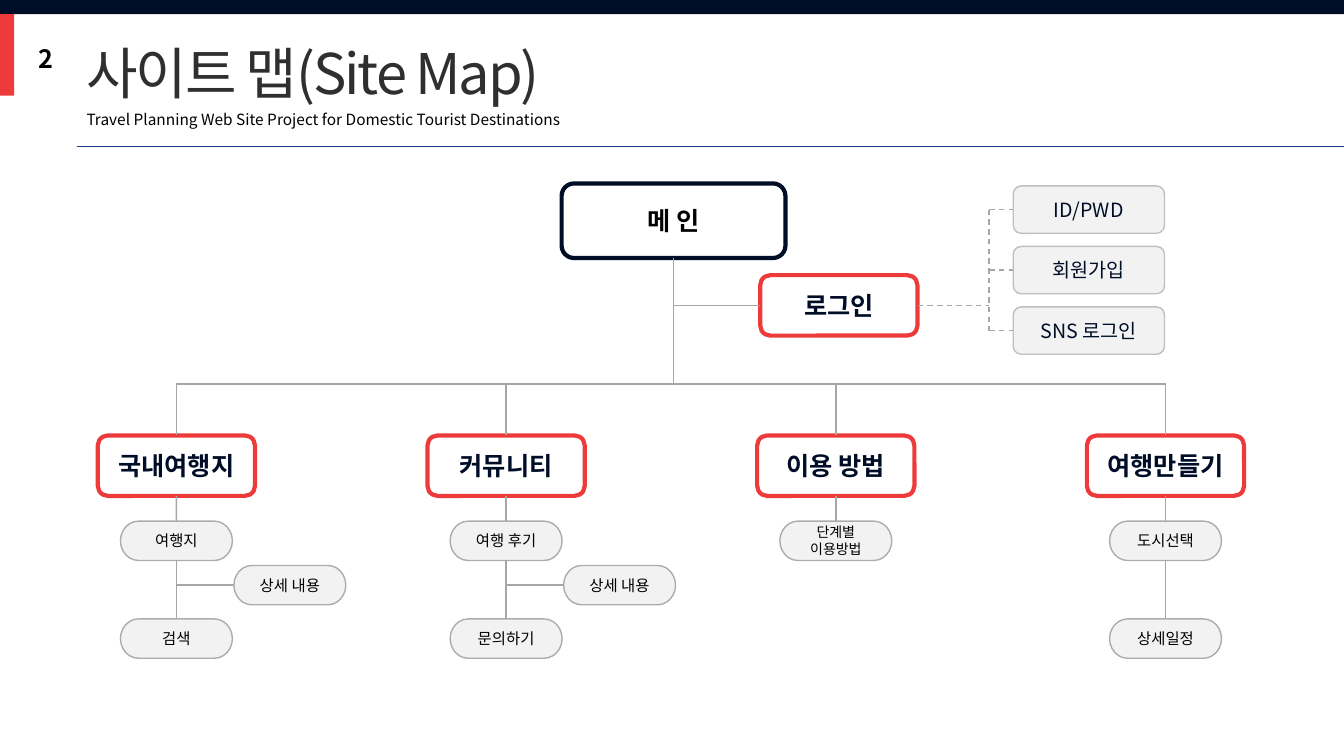
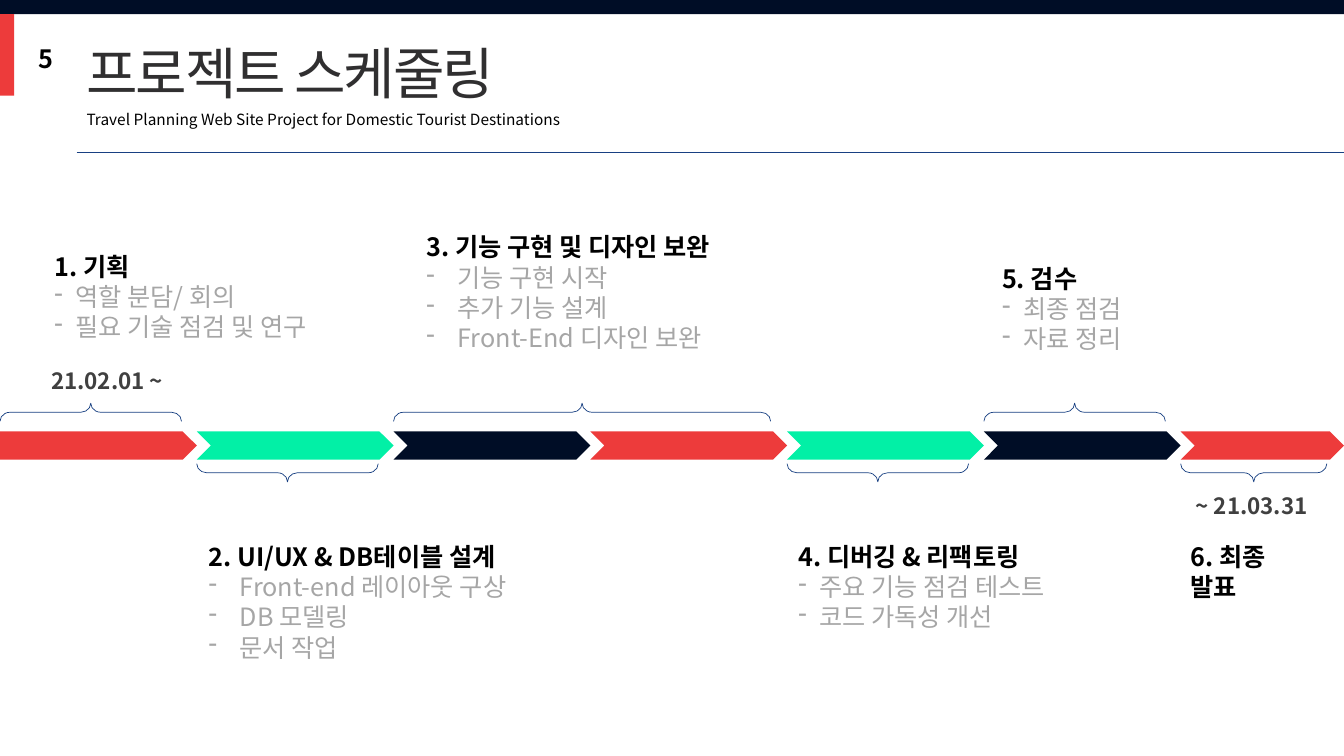
from lxml import etree
from pptx import Presentation
from pptx.dml.color import RGBColor
from pptx.enum import dml, shapes, text
from pptx.oxml import ns
from pptx.util import Inches, Pt

FONT = "Noto Sans CJK KR"
NAVY = RGBColor(0x00, 0x0D, 0x26)
RED = RGBColor(0xED, 0x3B, 0x3B)
MINT = RGBColor(0x02, 0xF0, 0xA6)
BLUE = RGBColor(0x18, 0x40, 0x82)
BLACK = RGBColor(0x00, 0x00, 0x00)
TITLE = RGBColor(0x30, 0x2F, 0x30)
DATE = RGBColor(0x40, 0x40, 0x40)
GRAY = RGBColor(0xA6, 0xA6, 0xA6)
PILL_EDGE = RGBColor(0xAF, 0xAB, 0xAB)
BOX_EDGE = RGBColor(0xBF, 0xBF, 0xBF)
PALE = RGBColor(0xF2, 0xF2, 0xF2)

SHAPE = shapes.MSO_SHAPE
CENTER = text.PP_ALIGN.CENTER
TOP, LEFT, BOTTOM, RIGHT = range(4)

SLIDE_W = 13.33
BAR_H = 0.14
SUBTITLE = "Travel Planning Web Site Project for Domestic Tourist Destinations"

COL_X, COL_GAP = 1.75, 3.27
BUS_Y = 3.81
PILL_W, PILL_H = 1.11, 0.39
MENUS = [
    ("국내여행지", ["여행지"], "상세 내용", "검색"),
    ("커뮤니티", ["여행 후기"], "상세 내용", "문의하기"),
    ("이용 방법", ["단계별", "이용방법"], None, None),
    ("여행만들기", ["도시선택"], None, "상세일정"),
]
LOGIN_ITEMS = ["ID/PWD", "회원가입", "SNS 로그인"]

LAST_W = 1.62
STEP = (SLIDE_W - LAST_W) / 6
ARROW_COLORS = [RED, MINT, NAVY, RED, MINT, NAVY, RED]
BRACES = [(0, 1.8, True), (1, 1.8, False), (2, 3.74, True),
          (4, 1.8, False), (5, 1.8, True), (6, 1.45, False)]
PHASES = [
    (0.44, 2.44, 2.85, 0.21, "1. 기획", ["역할 분담/ 회의", "필요 기술 점검 및 연구"]),
    (1.97, 5.32, 3.47, 0.31, "2. UI/UX & DB테이블 설계",
     ["Front-end 레이아웃 구상", "DB 모델링", "문서 작업"]),
    (4.13, 2.25, 3.22, 0.31, "3. 기능 구현 및 디자인 보완",
     ["기능 구현 시작", "추가 기능 설계", "Front-End 디자인 보완"]),
    (7.82, 5.32, 2.74, 0.21, "4. 디버깅 & 리팩토링", ["주요 기능 점검 테스트", "코드 가독성 개선"]),
    (9.84, 2.56, 1.49, 0.21, "5. 검수", ["최종 점검", "자료 정리"]),
    (11.71, 5.32, 1.2, 0, "6. 최종 발표", []),
]


def write(tf, content, size=18, color=BLACK, bold=False, align=None, spacing=None, bullet=None):
    p = tf.add_paragraph() if tf.text else tf.paragraphs[0]
    if bullet:
        pPr = p._p.get_or_add_pPr()
        pPr.set("marL", str(Inches(bullet)))
        pPr.set("indent", str(-Inches(bullet)))
        etree.SubElement(pPr, ns.qn("a:buChar"), char="-")
    p.alignment = align
    r = p.add_run()
    r.text = content
    r.font.size = Pt(size)
    r.font.bold = bold
    r.font.color.rgb = color
    r.font.name = FONT
    rPr = r._r.get_or_add_rPr()
    etree.SubElement(rPr, ns.qn("a:ea"), typeface=FONT)
    if spacing:
        rPr.set("spc", str(int(spacing * 100)))


def add_text(s, x, y, w, h, content, **fmt):
    tf = s.shapes.add_textbox(Inches(x), Inches(y), Inches(w), Inches(h)).text_frame
    tf.word_wrap = True
    write(tf, content, **fmt)
    return tf


def add_box(s, kind, x, y, w, h, fill=None, edge=None, weight=1, lines=(), **fmt):
    sp = s.shapes.add_shape(kind, Inches(x), Inches(y), Inches(w), Inches(h))
    sp.shadow.inherit = False
    if fill is None:
        sp.fill.background()
    else:
        sp.fill.solid()
        sp.fill.fore_color.rgb = fill
    if edge is None:
        sp.line.fill.background()
    else:
        sp.line.color.rgb = edge
        sp.line.width = Pt(weight)
    tf = sp.text_frame
    tf.margin_left = tf.margin_right = tf.margin_top = tf.margin_bottom = 0
    tf.vertical_anchor = text.MSO_ANCHOR.MIDDLE
    for content in lines:
        write(tf, content, align=CENTER, **fmt)
    return sp


def add_line(s, x1, y1, x2, y2, color=GRAY, weight=1, dashed=False, begin=None, end=None):
    line = s.shapes.add_connector(shapes.MSO_CONNECTOR.STRAIGHT,
                                  Inches(x1), Inches(y1), Inches(x2), Inches(y2))
    line.line.color.rgb = color
    line.line.width = Pt(weight)
    if dashed:
        line.line.dash_style = dml.MSO_LINE.DASH
    etree.SubElement(line._element.spPr, ns.qn("a:effectLst"))
    if begin:
        line.begin_connect(*begin)
    if end:
        line.end_connect(*end)


def add_frame(prs, number, title, rule_y):
    s = prs.slides.add_slide(prs.slide_layouts[6])
    add_box(s, SHAPE.RECTANGLE, 0, 0, SLIDE_W, BAR_H, fill=NAVY)
    add_box(s, SHAPE.RECTANGLE, 0, BAR_H, 0.14, 0.81, fill=RED)
    add_text(s, 0.28, 0.38, 0.35, 0.4, number, bold=True)
    add_text(s, 0.76, 0.33, 5.6, 0.77, title, size=40, color=TITLE, spacing=-1.5)
    add_text(s, 0.76, 1.04, 5.31, 0.29, SUBTITLE, size=11)
    add_line(s, 0.76, rule_y, SLIDE_W, rule_y, color=BLUE, weight=0.5)
    return s


def add_menu_box(s, cx, y, label):
    return add_box(s, SHAPE.ROUNDED_RECTANGLE, cx - 0.78, y, 1.56, 0.6, edge=RED, weight=3,
                   lines=[label], color=NAVY, bold=True)


def add_pill(s, x, y, lines):
    return add_box(s, SHAPE.FLOWCHART_TERMINATOR, x, y, PILL_W, PILL_H, fill=PALE, edge=PILL_EDGE,
                   lines=lines, size=11 if len(lines) == 1 else 10)


def add_menu(s, cx, label, first, detail, last):
    menu = add_menu_box(s, cx, 4.32, label)
    add_line(s, cx, BUS_Y, cx, 4.32, end=(menu, TOP))
    pill_x = cx - PILL_W / 2
    top = add_pill(s, pill_x, 5.17, first)
    add_line(s, cx, 4.92, cx, 5.17, begin=(menu, BOTTOM), end=(top, TOP))
    if last:
        low = add_pill(s, pill_x, 6.14, [last])
        add_line(s, cx, 5.56, cx, 6.14, begin=(top, BOTTOM), end=(low, TOP))
    if detail:
        side = add_pill(s, cx + 0.57, 5.61, [detail])
        y = 5.61 + PILL_H / 2
        add_line(s, cx, y, cx + 0.57, y, end=(side, LEFT))


def add_login(s, trunk_x):
    y, spine_x, item_x, item_h = 3.03, 9.81, 10.05, 0.47
    login = add_menu_box(s, 8.32, y - 0.3, "로그인")
    add_line(s, trunk_x, y, 7.54, y, end=(login, LEFT))
    add_line(s, 9.1, y, spine_x, y, dashed=True, begin=(login, RIGHT))
    centers = [2.08 + 0.6 * i for i in range(len(LOGIN_ITEMS))]
    add_line(s, spine_x, centers[0], spine_x, centers[-1], dashed=True)
    for cy, label in zip(centers, LOGIN_ITEMS):
        item = add_box(s, SHAPE.ROUNDED_RECTANGLE, item_x, cy - item_h / 2, 1.5, item_h,
                       fill=PALE, edge=BOX_EDGE, lines=[label], size=14, color=NAVY)
        add_line(s, spine_x, cy, item_x, cy, dashed=True, end=(item, LEFT))


def add_site_map(prs):
    s = add_frame(prs, "2", "사이트 맵(Site Map)", 1.45)
    trunk_x = 6.68
    main_box = add_box(s, SHAPE.ROUNDED_RECTANGLE, trunk_x - 1.11, 1.82, 2.22, 0.74,
                       edge=NAVY, weight=3, lines=["메 인"], bold=True)
    add_line(s, trunk_x, 2.56, trunk_x, BUS_Y, begin=(main_box, BOTTOM))
    add_login(s, trunk_x)
    add_line(s, COL_X, BUS_Y, COL_X + COL_GAP * (len(MENUS) - 1), BUS_Y)
    for i, menu in enumerate(MENUS):
        add_menu(s, COL_X + COL_GAP * i, *menu)


def add_brace(s, x, length, above):
    depth = 0.18
    cx, cy = x + length / 2, 4.09 if above else 4.69
    sp = add_box(s, SHAPE.LEFT_BRACE, cx - depth / 2, cy - length / 2, depth, length,
                 edge=BLUE, weight=0.5)
    sp.adjustments[0] = 0.545
    sp.rotation = 90 if above else 270


def add_phase(s, x, y, w, indent, heading, items):
    tf = add_text(s, x, y, w, 0.4 + 0.3 * len(items), heading, bold=True)
    for item in items:
        write(tf, item, color=GRAY, bullet=indent)


def add_schedule(prs):
    s = add_frame(prs, "5", "프로젝트 스케줄링", 1.51)
    for i, color in enumerate(ARROW_COLORS):
        kind = SHAPE.CHEVRON if i else SHAPE.PENTAGON
        width = LAST_W if i == len(ARROW_COLORS) - 1 else STEP
        add_box(s, kind, STEP * i, 4.28, width, 0.28, fill=color)
    for i, length, above in BRACES:
        add_brace(s, STEP * i, length, above)
    for phase in PHASES:
        add_phase(s, *phase)
    for x, y, label in [(0.41, 3.59, "21.02.01 ~"), (11.76, 4.83, "~ 21.03.31")]:
        add_text(s, x, y, 1.45, 0.4, label, size=16, color=DATE, bold=True)


def main():
    prs = Presentation()
    prs.slide_width = Inches(SLIDE_W)
    prs.slide_height = Inches(7.5)
    add_site_map(prs)
    add_schedule(prs)
    prs.save("out.pptx")


if __name__ == "__main__":
    main()
